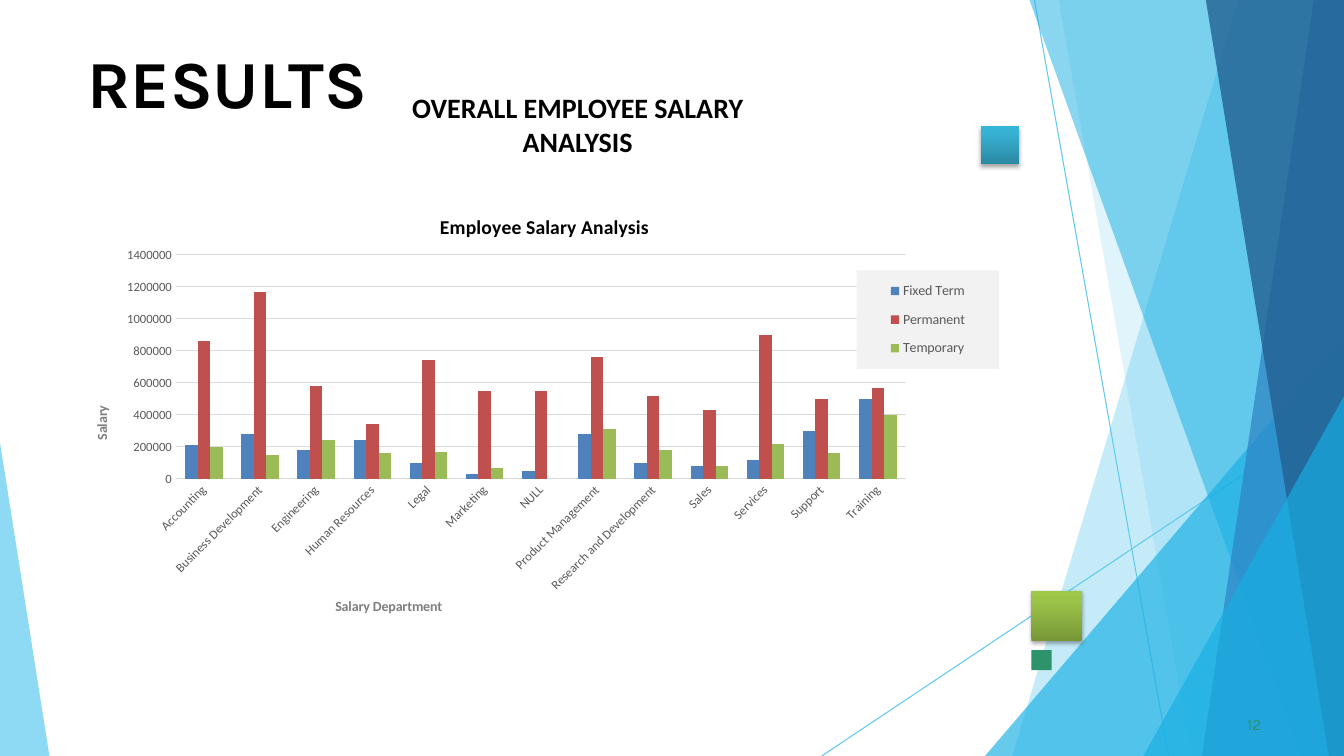
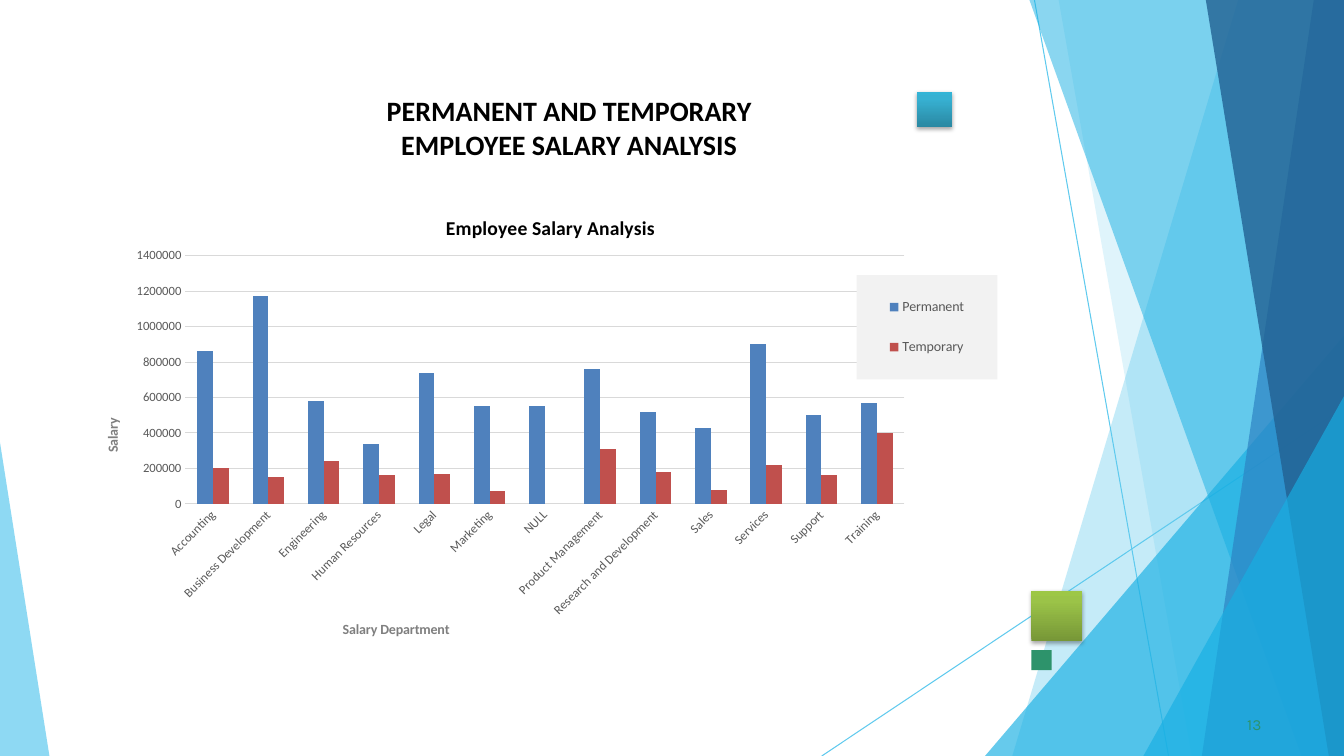
from pptx import Presentation
from pptx.chart.data import CategoryChartData
from pptx.dml.color import RGBColor
from pptx.enum.chart import XL_CHART_TYPE, XL_LEGEND_POSITION, XL_TICK_MARK
from pptx.enum.shapes import MSO_CONNECTOR, MSO_SHAPE
from pptx.enum.text import PP_ALIGN
from pptx.oxml import parse_xml
from pptx.oxml.ns import nsdecls, qn
from pptx.util import Inches, Pt

WIDTH, HEIGHT = 13.33, 7.5
BODY_FONT, DISPLAY_FONT = "Calibri", "Karla"

COLORS = {
    "black": "000000",
    "sky": "5FCAEE",
    "cyan": "17AFE3",
    "blue": "2D83C3",
    "navy": "226192",
    "green": "2D936B",
    "label": "595959",
    "axis_title": "7F7F7F",
    "grid": "D9D9D9",
    "legend": "F2F2F2",
}
SERIES_COLORS = ["4F81BD", "C0504D", "9BBB59"]

# Gradient stops from bottom to top: percent, colour
LIME_GRADIENT = [(0, "779737"), (80, "9BC348"), (100, "9DC746")]
TEAL_GRADIENT = [(0, "2A88A2"), (80, "37B1D2"), (100, "34B4D6")]

# Backdrop: colour, opacity in percent, corner points
FACETS = [
    ("sky", 36, [(WIDTH, 0), (12.28, 0), (10.04, HEIGHT), (WIDTH, HEIGHT)]),
    ("sky", 20, [(WIDTH, 0), (10.5, 0), (11.82, HEIGHT), (WIDTH, HEIGHT)]),
    ("cyan", 66, [(WIDTH, 3.33), (9.77, HEIGHT), (WIDTH, HEIGHT)]),
    ("cyan", 50, [(WIDTH, 0), (10.21, 0), (12.91, HEIGHT), (WIDTH, HEIGHT)]),
    ("blue", 70, [(WIDTH, 0), (13.03, 0), (11.92, HEIGHT), (WIDTH, HEIGHT)]),
    ("navy", 80, [(WIDTH, 0), (11.96, 0), (13.18, HEIGHT), (WIDTH, HEIGHT)]),
    ("cyan", 66, [(WIDTH, 3.93), (11.34, HEIGHT), (WIDTH, HEIGHT)]),
    ("sky", 70, [(0, 4.39), (0, HEIGHT), (0.49, HEIGHT)]),
]
RAYS = [(10.26, 0, 11.59, HEIGHT), (WIDTH, 4.04, 8.15, HEIGHT)]

DEPARTMENTS = [
    "Accounting", "Business Development", "Engineering", "Human Resources",
    "Legal", "Marketing", "NULL", "Product Management",
    "Research and Development", "Sales", "Services", "Support", "Training",
]
# Salaries in thousands, by department
SALARIES = {
    "Fixed Term": [210, 280, 180, 240, 100, 30, 50, 280, 100, 80, 120, 300, 500],
    "Permanent": [860, 1170, 580, 340, 740, 550, 550, 760, 520, 430, 900, 500, 570],
    "Temporary": [200, 150, 240, 160, 170, 70, None, 310, 180, 80, 220, 160, 400],
}

# Places inside the chart, in percent of its size
CHART_TITLE_AT = (39, 4.6)
DEPARTMENT_TITLE_AT = (28.1, 89.3)
SALARY_TITLE_AT = (2.6, 47.2)
LEGEND_AT = (83.2, 18, 15, 21.7)


def rgb(name):
    return RGBColor.from_string(COLORS[name])


def style_font(font, size, color, name=BODY_FONT, bold=False):
    font.size = Pt(size)
    font.name = name
    font.bold = bold
    font.color.rgb = rgb(color)


# Backdrop and ornaments
def add_ray(slide, *ends):
    ray = slide.shapes.add_connector(
        MSO_CONNECTOR.STRAIGHT, *[Inches(value) for value in ends])
    ray.line.color.rgb = rgb("sky")
    ray.line.width = Pt(0.75)
    ray.element.spPr.append(parse_xml(f"<a:effectLst {nsdecls('a')}/>"))


def add_facet(slide, color, opacity, corners):
    points = [(Inches(x), Inches(y)) for x, y in corners]
    outline = slide.shapes.build_freeform(*points[0])
    outline.add_line_segments(points[1:], close=True)
    facet = outline.convert_to_shape()
    facet.shadow.inherit = False
    facet.line.fill.background()
    facet.fill.solid()
    facet.fill.fore_color.rgb = rgb(color)
    tint = facet.element.spPr.find(f"{qn('a:solidFill')}/{qn('a:srgbClr')}")
    tint.append(parse_xml(f'<a:alpha {nsdecls("a")} val="{opacity * 1000}"/>'))


def add_square(slide, left, top, side):
    square = slide.shapes.add_shape(
        MSO_SHAPE.RECTANGLE, Inches(left), Inches(top), Inches(side), Inches(side))
    square.shadow.inherit = False
    square.line.fill.background()
    square.fill.solid()
    square.fill.fore_color.rgb = rgb("green")
    return square


def add_raised_square(slide, left, top, side, gradient):
    properties = add_square(slide, left, top, side).element.spPr
    stops = "".join(
        f'<a:gs pos="{place * 1000}"><a:srgbClr val="{color}"/></a:gs>'
        for place, color in gradient)
    plain_fill = properties.find(qn("a:solidFill"))
    properties.replace(plain_fill, parse_xml(
        f"<a:gradFill {nsdecls('a')}><a:gsLst>{stops}</a:gsLst>"
        '<a:lin ang="16200000" scaled="0"/></a:gradFill>'))
    properties.find(qn("a:effectLst")).append(parse_xml(
        f'<a:outerShdw {nsdecls("a")} blurRad="{Pt(3.1)}" dist="{Pt(1.8)}" '
        'dir="5400000" rotWithShape="0"><a:srgbClr val="000000">'
        '<a:alpha val="35000"/></a:srgbClr></a:outerShdw>'))


# Text
def add_text(slide, text, left, top, width, height, size, color="black",
             font=BODY_FONT, bold=True, align=PP_ALIGN.LEFT):
    box = slide.shapes.add_textbox(
        Inches(left), Inches(top), Inches(width), Inches(height))
    frame = box.text_frame
    frame.word_wrap = True
    frame.text = text
    paragraph = frame.paragraphs[0]
    paragraph.alignment = align
    style_font(paragraph.font, size, color, font, bold)
    return frame


def add_heading(slide, text, left, top, width, height):
    add_text(slide, text, left, top, width, height, 20, align=PP_ALIGN.CENTER)


def add_page_number(slide, number):
    frame = add_text(slide, str(number), 12.33, 7.08, 0.25, 0.21, 11, "green",
                     DISPLAY_FONT, bold=False)
    frame.margin_left = Inches(0.04)
    frame.margin_top = Inches(0.01)
    frame.margin_right = frame.margin_bottom = 0


# Chart
def manual_layout(place, target=""):
    modes = "".join(f'<c:{axis}Mode val="edge"/>' for axis in "xy")
    values = "".join(
        f'<c:{key} val="{percent / 100:.3f}"/>' for key, percent in zip("xywh", place))
    return parse_xml(f"<c:layout {nsdecls('c')}><c:manualLayout>{target}{modes}{values}"
                     "</c:manualLayout></c:layout>")


def place_part(part, place):
    for old in part.findall(qn("c:layout")):
        part.remove(old)
    part.find(qn("c:overlay")).addprevious(manual_layout(place))


def set_title(title, text, place, size, color):
    title.text_frame.text = text
    style_font(title.text_frame.paragraphs[0].font, size, color, bold=True)
    place_part(title.element, place)


def turn_text(body, degrees):
    body.set("rot", str(degrees * 60000))
    body.set("vert", "horz")


def style_axes(chart):
    departments, salaries = chart.category_axis, chart.value_axis
    for axis, text, place in (
            (departments, "Salary Department", DEPARTMENT_TITLE_AT),
            (salaries, "Salary", SALARY_TITLE_AT)):
        axis.major_tick_mark = axis.minor_tick_mark = XL_TICK_MARK.NONE
        style_font(axis.tick_labels.font, 9, "label")
        set_title(axis.axis_title, text, place, 10, "axis_title")
    departments.has_major_gridlines = False
    salaries.minimum_scale, salaries.maximum_scale = 0, 1400000
    salaries.major_unit = 200000
    salaries.format.line.fill.background()
    for line in (departments.format.line, salaries.major_gridlines.format.line):
        line.color.rgb = rgb("grid")
        line.width = Pt(0.75)
    label_body = chart.element.find(
        f".//{qn('c:catAx')}/{qn('c:txPr')}/{qn('a:bodyPr')}")
    turn_text(label_body, -45)
    turn_text(salaries.axis_title.element.find(f".//{qn('a:bodyPr')}"), -90)


def style_legend(chart):
    chart.has_legend = True
    chart.legend.position = XL_LEGEND_POSITION.RIGHT
    chart.legend.include_in_layout = False
    style_font(chart.legend.font, 10, "label")
    legend = chart.element.find(f".//{qn('c:legend')}")
    place_part(legend, LEGEND_AT)
    legend.find(qn("c:overlay")).addnext(parse_xml(
        f"<c:spPr {nsdecls('c', 'a')}><a:solidFill>"
        f'<a:srgbClr val="{COLORS["legend"]}"/></a:solidFill></c:spPr>'))


def add_salary_chart(slide, contracts, left, top, width, height, plot_place):
    data = CategoryChartData()
    data.categories = DEPARTMENTS
    for contract in contracts:
        data.add_series(contract, [
            None if value is None else value * 1000 for value in SALARIES[contract]])
    chart = slide.shapes.add_chart(
        XL_CHART_TYPE.COLUMN_CLUSTERED, Inches(left), Inches(top),
        Inches(width), Inches(height), data).chart
    style_font(chart.font, 10, "black")
    chart.has_title = True
    set_title(chart.chart_title, "Employee Salary Analysis", CHART_TITLE_AT, 14, "black")

    columns = chart.plots[0]
    columns.gap_width = 150
    columns.overlap = 0
    columns.vary_by_categories = False
    for series, color in zip(columns.series, SERIES_COLORS):
        series.format.fill.solid()
        series.format.fill.fore_color.rgb = RGBColor.from_string(color)

    style_axes(chart)
    style_legend(chart)
    plot_area = chart.element.find(f".//{qn('c:plotArea')}")
    for old in plot_area.findall(qn("c:layout")):
        plot_area.remove(old)
    plot_area.insert(0, manual_layout(plot_place, '<c:layoutTarget val="inner"/>'))


# Shared slide frame; the teal square is placed per slide
def add_slide(deck, number, teal_square):
    slide = deck.slides.add_slide(deck.slide_layouts[6])
    for ray in RAYS:
        add_ray(slide, *ray)
    for facet in FACETS:
        add_facet(slide, *facet)
    add_raised_square(slide, 10.23, 5.86, 0.5, LIME_GRADIENT)
    add_raised_square(slide, *teal_square, TEAL_GRADIENT)
    add_square(slide, 10.23, 6.45, 0.2)
    add_page_number(slide, number)
    return slide


def main():
    deck = Presentation()
    deck.slide_width, deck.slide_height = Inches(WIDTH), Inches(HEIGHT)

    # Overall salaries
    overall = add_slide(deck, 12, (9.73, 1.25, 0.38))
    add_salary_chart(overall, ["Fixed Term", "Permanent", "Temporary"],
                     0.65, 1.87, 9.43, 4.51, (11.6, 14.6, 76.8, 49.3))
    add_heading(overall, "OVERALL EMPLOYEE SALARY ANALYSIS", 3.87, 0.85, 3.72, 0.79)
    add_text(overall, "RESULTS", 0.77, 0.36, 3.78, 0.91, 48, font=DISPLAY_FONT)

    # Permanent and temporary salaries
    comparison = add_slide(deck, 13, (9.09, 0.91, 0.35))
    add_heading(comparison, "PERMANENT AND TEMPORARY EMPLOYEE SALARY ANALYSIS",
                3.34, 0.88, 4.61, 0.77)
    add_salary_chart(comparison, ["Permanent", "Temporary"],
                     0.76, 1.87, 9.3, 4.77, (11.6, 14, 76.7, 51.6))

    deck.save("out.pptx")


if __name__ == "__main__":
    main()
